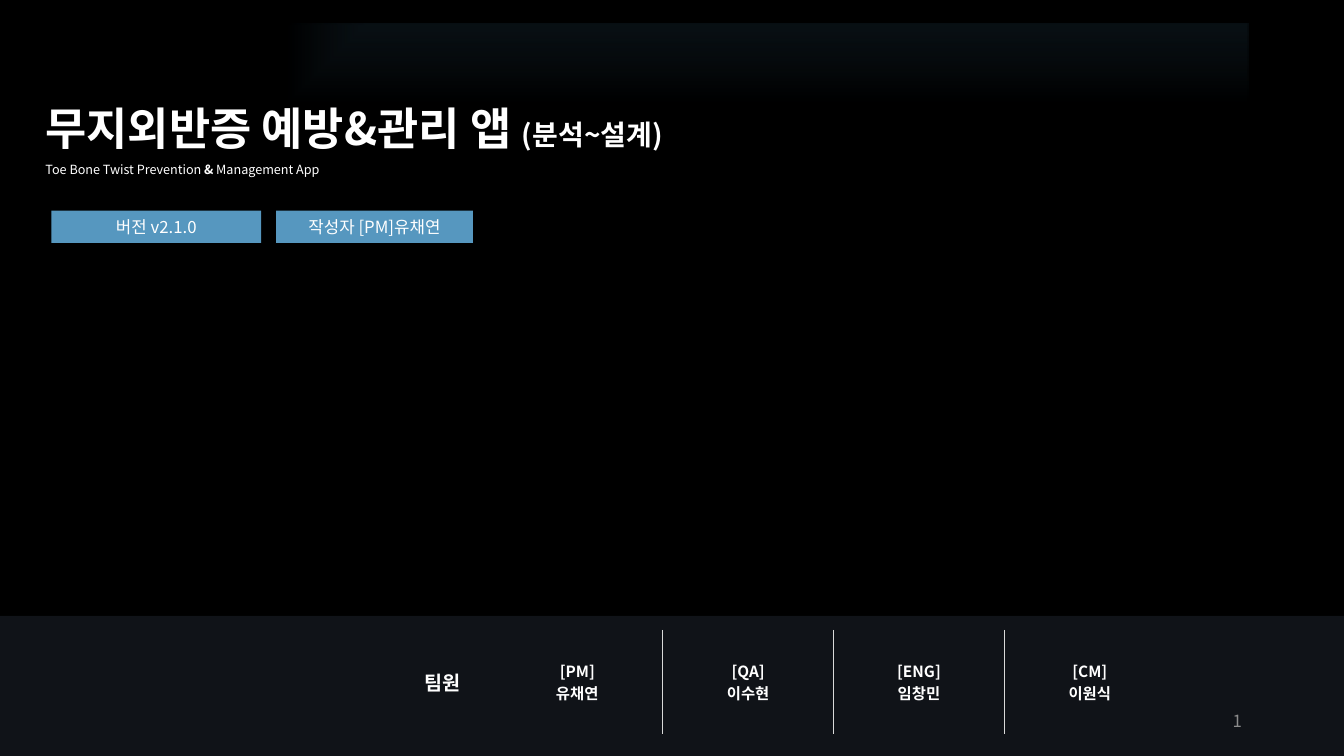
from lxml import etree
from pptx import Presentation
from pptx.dml.color import RGBColor
from pptx.enum.shapes import MSO_SHAPE as Shape
from pptx.enum.text import MSO_ANCHOR as Anchor, MSO_AUTO_SIZE as AutoSize, PP_ALIGN as Align
from pptx.oxml import parse_xml
from pptx.oxml.ns import nsdecls, qn
from pptx.util import Inches, Pt

WIDTH, HEIGHT = Inches(13.333), Inches(7.5)
FONT = "Noto Sans CJK KR"
WHITE, BLACK, BLUE, NAVY, GRAY, RULE = "FFFFFF", "000000", "5697BF", "222A35", "8C8C8C", "D9D9D9"
NO_GRID_STYLE = "{2D5ABB26-0587-4C30-8999-92F81FD0307C}"
TEAM = [("[PM]", "유채연"), ("[QA]", "이수현"), ("[ENG]", "임창민"), ("[CM]", "이원식")]


def paint(target, color):
    target.solid()
    target.fore_color.rgb = RGBColor.from_string(color)


def area(left, top, width, height):
    return [int(share * side / 100) for share, side in
            zip((left, top, width, height), (WIDTH, HEIGHT, WIDTH, HEIGHT))]


def add_span(para, text, size=12, color=WHITE, bold=False):
    span = para.add_run()
    span.text = text
    span.font.name, span.font.size, span.font.bold = FONT, Pt(size), bold
    paint(span.font.fill, color)
    etree.SubElement(span.font._element, qn("a:ea"), typeface=FONT)
    return span


def write(frame, lines, align=Align.LEFT, spacing=None, **style):
    for index, line in enumerate(lines):
        para = frame.paragraphs[0] if index == 0 else frame.add_paragraph()
        para.alignment = align
        para.space_before = Pt(0)
        if spacing:
            para.line_spacing = spacing
        for text, changes in [(line, {})] if isinstance(line, str) else line:
            add_span(para, text, **{**style, **changes})


def add_panel(page, place, color):
    panel = page.shapes.add_shape(Shape.RECTANGLE, *area(*place))
    panel.shadow.inherit = False
    panel.line.fill.background()
    paint(panel.fill, color)
    return panel


def add_badge(page, place, text):
    frame = add_panel(page, place, BLUE).text_frame
    frame.vertical_anchor = Anchor.MIDDLE
    write(frame, [text], align=Align.CENTER)


def add_label(page, place, text, anchor=Anchor.TOP, **style):
    frame = page.shapes.add_textbox(*area(*place)).text_frame
    frame.word_wrap = True
    frame.vertical_anchor = anchor
    write(frame, [text], **style)
    return frame


def add_glow(page, place):
    glow = add_panel(page, place, BLACK)
    glow.fill._xPr.replace(glow.fill._xPr.find(qn("a:solidFill")), parse_xml(
        f'<a:gradFill {nsdecls("a")} rotWithShape="1"><a:gsLst>'
        '<a:gs pos="0"><a:srgbClr val="355F77"><a:alpha val="0"/></a:srgbClr></a:gs>'
        f'<a:gs pos="100000"><a:srgbClr val="{BLACK}"/></a:gs></a:gsLst>'
        '<a:path path="rect"><a:fillToRect l="100000" b="100000"/></a:path></a:gradFill>'))
    page.shapes.title._element.addprevious(glow._element)


def add_title(page, place):
    title = page.shapes.title
    title.left, title.top, title.width, title.height = area(*place)
    frame = title.text_frame
    frame.word_wrap = True
    frame.auto_size = AutoSize.SHAPE_TO_FIT_TEXT
    frame.vertical_anchor = Anchor.TOP
    write(frame, [
        [("무지외반증 예방&관리 앱 ", {"size": 32}), ("(분석~설계)", {"size": 20})],
        [("Toe Bone Twist Prevention", {"bold": False}), (" & ", {}),
         ("Management App", {"bold": False})],
    ], spacing=1.5, size=9, bold=True)


def add_footer(page, place):
    footer = add_panel(page, place, NAVY)
    color = footer.fill._xPr.find(qn("a:solidFill"))[0]
    etree.SubElement(color, qn("a:alpha"), val="47000")


def add_border(cell, side):
    cell._tc.get_or_add_tcPr().insert(0, parse_xml(
        f'<a:{side} {nsdecls("a")} w="{Pt(0.5)}"><a:solidFill>'
        f'<a:srgbClr val="{RULE}"/></a:solidFill></a:{side}>'))


def add_team(page, place):
    table = page.shapes.add_table(1, len(TEAM), *area(*place)).table
    table.first_row = table.horz_banding = False
    table._tbl.tblPr.find(qn("a:tableStyleId")).text = NO_GRID_STYLE
    for index, member in enumerate(TEAM):
        cell = table.cell(0, index)
        cell.fill.background()
        cell.vertical_anchor = Anchor.MIDDLE
        write(cell.text_frame, member, align=Align.CENTER, size=11, bold=True)
        if index < len(TEAM) - 1:
            add_border(cell, "lnR")
        if index > 0:
            add_border(cell, "lnL")


def add_page_number(page, place):
    frame = add_label(page, place, "1", anchor=Anchor.MIDDLE, align=Align.RIGHT, color=GRAY)
    number = frame.paragraphs[0].runs[0]._r
    number.tag = qn("a:fld")
    number.set("id", "{B6F15528-21DE-4FAA-801E-634DDDAF4B2B}")
    number.set("type", "slidenum")


def main():
    deck = Presentation()
    deck.slide_width, deck.slide_height = WIDTH, HEIGHT
    page = deck.slides.add_slide(deck.slide_layouts[5])
    paint(page.background.fill, BLACK)
    add_glow(page, (-7.13, 3.07, 100, 100))
    add_title(page, (2.63, 9.07, 64.58, 14.8))
    add_badge(page, (3.83, 27.87, 15.6, 4.27), "버전 v2.1.0")
    add_badge(page, (20.55, 27.87, 14.63, 4.27), "작성자 [PM]유채연")
    add_footer(page, (0, 81.47, 100, 18.53))
    add_team(page, (36.6, 83.33, 50.85, 13.73))
    add_label(page, (30.83, 88.13, 7.88, 4.53), "팀원", size=14, bold=True)
    add_page_number(page, (70.65, 92.67, 22.5, 5.33))
    deck.save("out.pptx")


if __name__ == "__main__":
    main()
